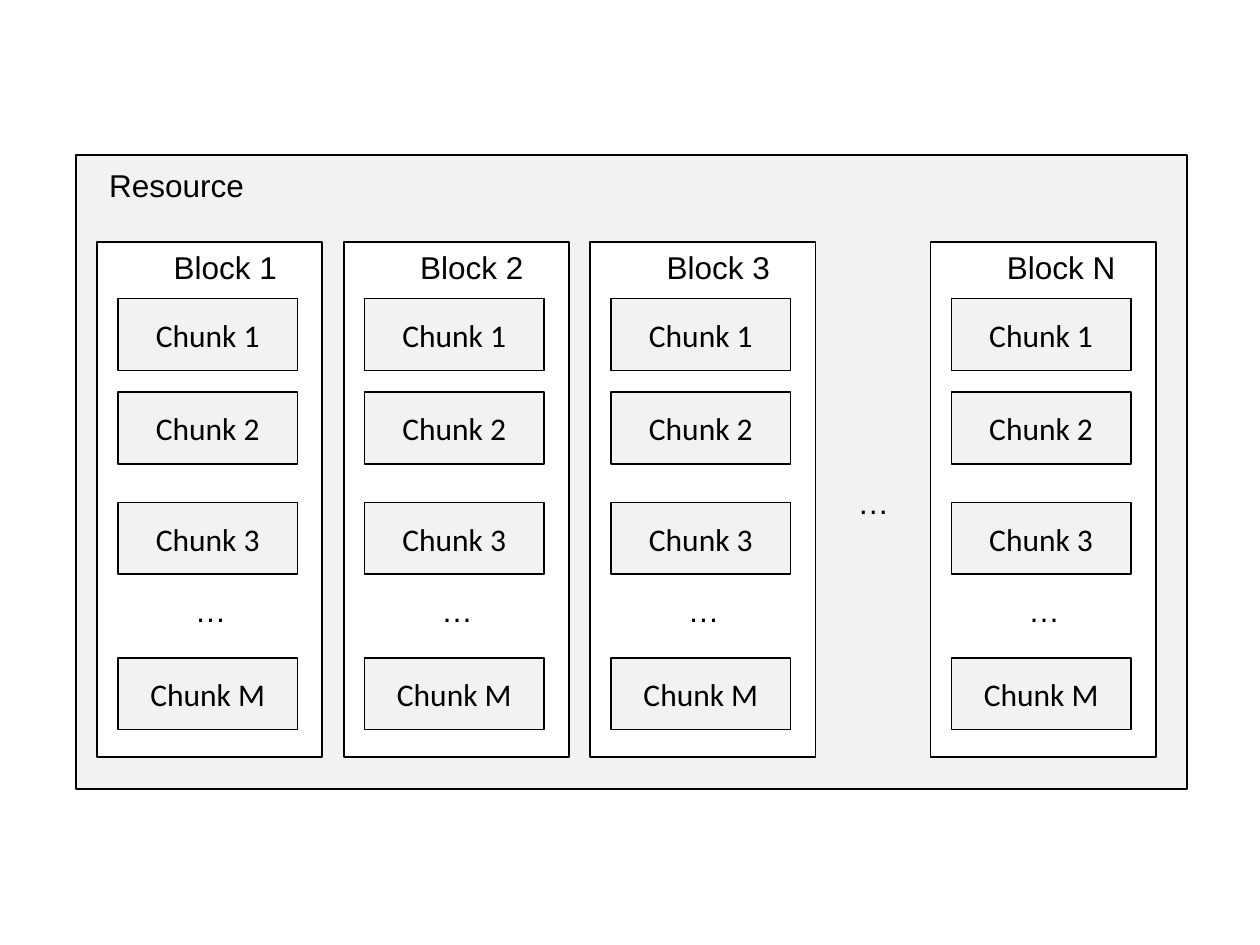
from dataclasses import dataclass

from pptx import Presentation
from pptx.dml.color import RGBColor
from pptx.enum.shapes import MSO_SHAPE
from pptx.enum.text import MSO_ANCHOR, MSO_AUTO_SIZE, PP_ALIGN
from pptx.util import Cm, Pt


@dataclass(frozen=True)
class Theme:
    """Colours, fonts and sizes of the diagram."""
    ink: RGBColor = RGBColor(0, 0, 0)
    panel: RGBColor = RGBColor(0xF2, 0xF2, 0xF2)
    paper: RGBColor = RGBColor(0xFF, 0xFF, 0xFF)
    label_font: str = "Arial"
    chunk_font: str = "Calibri"
    size: Pt = Pt(18)
    line: Pt = Pt(1)


THEME = Theme()
BLOCK_TOP, BLOCK_WIDTH, BLOCK_HEIGHT = 4.88, 4.54, 10.38
BLOCK_LEFT, BLOCK_PITCH, LAST_BLOCK_LEFT = 1.96, 4.97, 18.76
CHUNK_TOPS = {"1": 6.02, "2": 7.9, "3": 10.13, "M": 13.26}
LABEL_HEIGHT, DOTS_WIDTH = 1.02, 1.14


def write(tf, text, font=THEME.label_font, align=PP_ALIGN.LEFT):
    """Put one formatted line of text in a text frame."""
    p = tf.paragraphs[0]
    p.alignment = align
    r = p.add_run()
    r.text = text
    r.font.name = font
    r.font.size = THEME.size
    r.font.color.rgb = THEME.ink


def add_box(shapes, left, top, width, height, fill):
    """Add an outlined rectangle."""
    sp = shapes.add_shape(MSO_SHAPE.RECTANGLE, Cm(left), Cm(top), Cm(width), Cm(height))
    sp.shadow.inherit = False
    sp.fill.solid()
    sp.fill.fore_color.rgb = fill
    sp.line.color.rgb = THEME.ink
    sp.line.width = THEME.line
    return sp


def add_label(shapes, text, left, top, width):
    """Add a single-line text box that fits its text."""
    sp = shapes.add_textbox(Cm(left), Cm(top), Cm(width), Cm(LABEL_HEIGHT))
    tf = sp.text_frame
    tf.word_wrap = False
    tf.auto_size = MSO_AUTO_SIZE.SHAPE_TO_FIT_TEXT
    write(tf, text)


def add_chunk(shapes, name, left, top):
    """Add a chunk box with its centred name."""
    tf = add_box(shapes, left, top, 3.62, 1.45, THEME.panel).text_frame
    tf.vertical_anchor = MSO_ANCHOR.MIDDLE
    write(tf, f"Chunk {name}", font=THEME.chunk_font, align=PP_ALIGN.CENTER)


def add_block(shapes, name, left):
    """Add a group with one block and its chunks."""
    block = shapes.add_group_shape().shapes
    add_box(block, left, BLOCK_TOP, BLOCK_WIDTH, BLOCK_HEIGHT, THEME.paper)
    for chunk, top in CHUNK_TOPS.items():
        add_chunk(block, chunk, left + 0.42, top)
    add_label(block, f"Block {name}", left + 1.29, BLOCK_TOP, 2.72 if name == "N" else 2.62)
    add_label(block, "…", left + 1.72, 11.79, DOTS_WIDTH)


def main():
    """Build and save the resource diagram."""
    prs = Presentation()
    prs.slide_width, prs.slide_height = Cm(25.4), Cm(19.05)
    shapes = prs.slides.add_slide(prs.slide_layouts[6]).shapes
    add_box(shapes, 1.53, 3.12, 22.4, 12.78, THEME.panel)
    add_label(shapes, "Resource", 1.95, 3.23, 3.25)
    for i, name in enumerate("123"):
        add_block(shapes, name, BLOCK_LEFT + i * BLOCK_PITCH)
    add_block(shapes, "N", LAST_BLOCK_LEFT)
    add_label(shapes, "…", 17.04, 9.62, DOTS_WIDTH)
    prs.save("out.pptx")


main()
